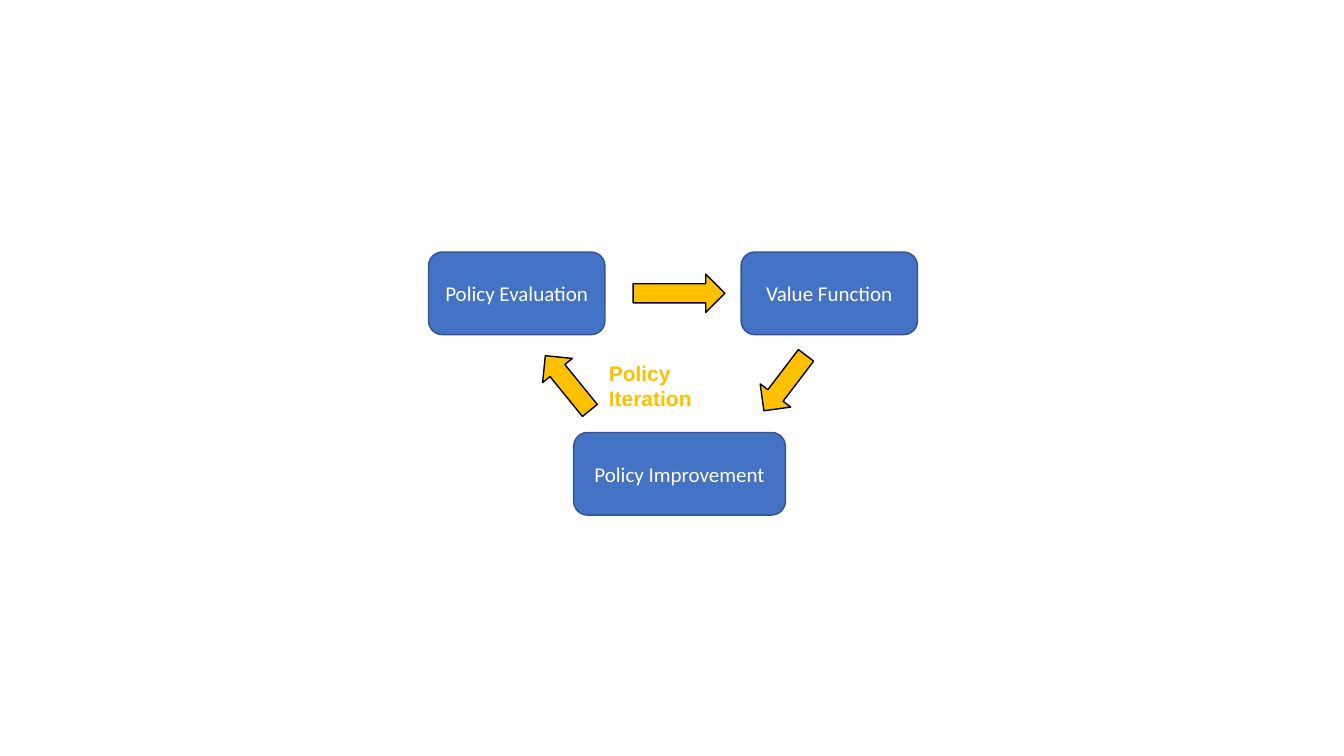
from pptx import Presentation
from pptx.dml.color import RGBColor
from pptx.enum.shapes import MSO_SHAPE
from pptx.enum.text import MSO_ANCHOR, PP_ALIGN
from pptx.util import Inches, Pt

ROUNDED = MSO_SHAPE.ROUNDED_RECTANGLE
ARROW = MSO_SHAPE.RIGHT_ARROW
MIDDLE, TOP = MSO_ANCHOR.MIDDLE, MSO_ANCHOR.TOP
CENTER, LEFT = PP_ALIGN.CENTER, PP_ALIGN.LEFT
COLORS = {"step": "4472C4", "step_edge": "325491", "accent": "FFC000",
          "arrow_edge": "000000", "step_text": "FFFFFF"}
STEP_HEIGHT, ARROW_HEIGHT = 0.82, 0.38


def color(name):
    """Return the named palette colour."""
    return RGBColor.from_string(COLORS[name])


def write(frame, text, *, font, ink, bold=False, align=LEFT, anchor=TOP,
          margins=(0.1, 0.05)):
    """Fill a text frame with one formatted paragraph."""
    frame.word_wrap = True
    frame.vertical_anchor = anchor
    frame.margin_left = frame.margin_right = Inches(margins[0])
    frame.margin_top = frame.margin_bottom = Inches(margins[1])
    paragraph = frame.paragraphs[0]
    paragraph.alignment = align
    run = paragraph.add_run()
    run.text = text
    run.font.name = font
    run.font.size = Pt(15)
    run.font.bold = bold
    run.font.color.rgb = color(ink)


def add_block(slide, preset, box, fill, edge):
    """Draw a filled, outlined preset shape in the given box."""
    block = slide.shapes.add_shape(preset, *map(Inches, box))
    block.shadow.inherit = False
    block.fill.solid()
    block.fill.fore_color.rgb = color(fill)
    block.line.color.rgb = color(edge)
    block.line.width = Pt(1)
    return block


def add_step(slide, text, left, top, width):
    """Draw one labelled step of the cycle."""
    step = add_block(slide, ROUNDED, (left, top, width, STEP_HEIGHT),
                     "step", "step_edge")
    write(step.text_frame, text, font="Calibri", ink="step_text",
          align=CENTER, anchor=MIDDLE, margins=(0.07, 0.04))


def add_arrow(slide, left, top, width, angle):
    """Draw one arrow of the cycle, turned clockwise by the angle."""
    arrow = add_block(slide, ARROW, (left, top, width, ARROW_HEIGHT),
                      "accent", "arrow_edge")
    arrow.rotation = angle


def add_policy_cycle(slide, left, top):
    """Place the policy iteration cycle from its top left corner."""
    for text, dx, dy, width in (("Policy Evaluation", 0, 0, 1.75),
                                ("Value Function", 3.1, 0, 1.75),
                                ("Policy Improvement", 1.44, 1.79, 2.1)):
        add_step(slide, text, left + dx, top + dy, width)
    for dx, dy, width, angle in ((2.03, 0.22, 0.91, 0),
                                 (3.19, 1.11, 0.69, 127.3),
                                 (1.03, 1.11, 0.7, 230.9)):
        add_arrow(slide, left + dx, top + dy, width, angle)
    caption = slide.shapes.add_textbox(Inches(left + 1.69), Inches(top + 1.03),
                                       Inches(1.64), Inches(0.35))
    write(caption.text_frame, "Policy Iteration", font="Arial", ink="accent",
          bold=True)


def main():
    """Build and save the slide."""
    deck = Presentation()
    deck.slide_width, deck.slide_height = Inches(13.33), Inches(7.5)
    slide = deck.slides.add_slide(deck.slide_layouts[6])
    add_policy_cycle(slide, 4.25, 2.5)
    deck.save("out.pptx")


if __name__ == "__main__":
    main()
